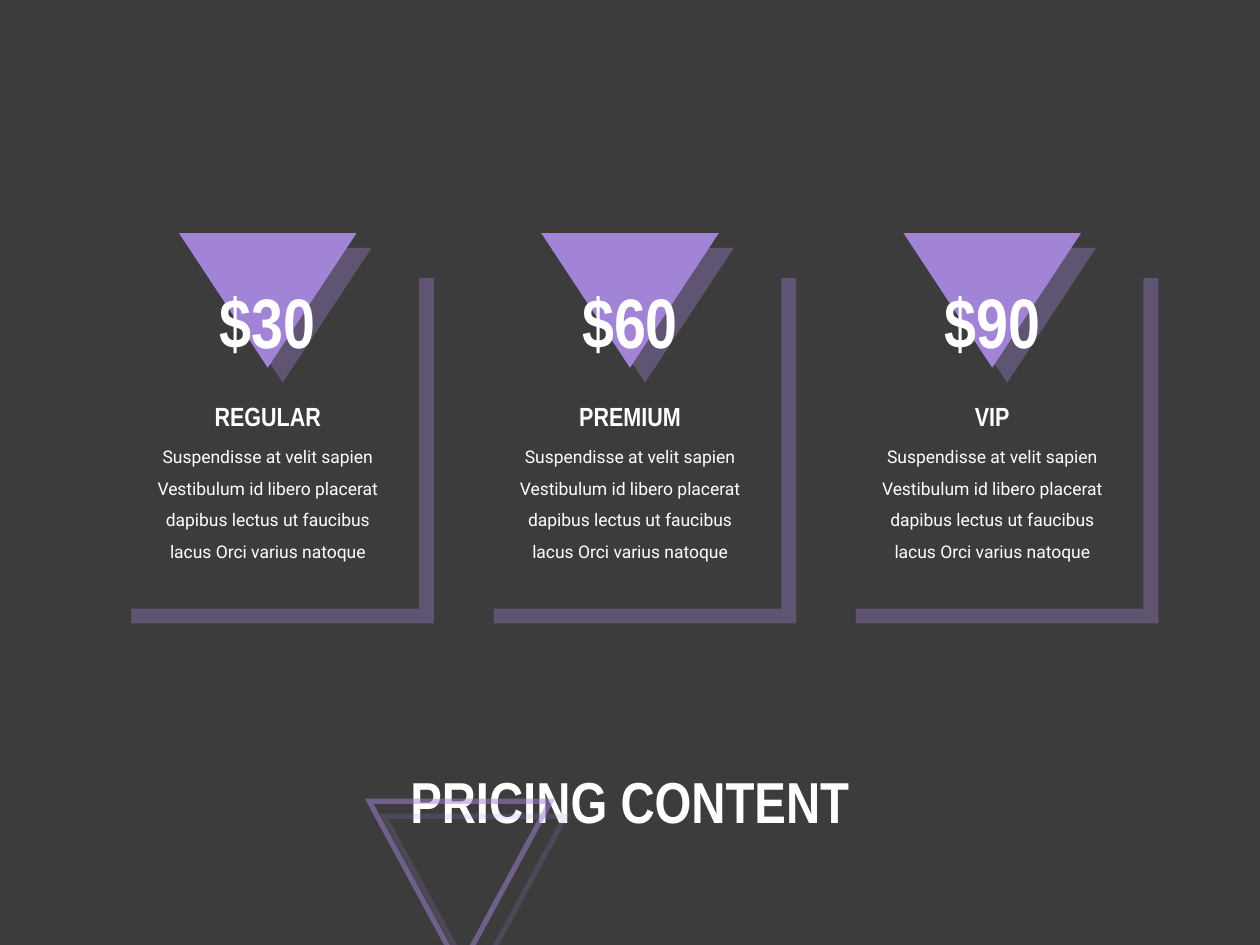
from dataclasses import dataclass

from lxml import etree
from pptx import Presentation
from pptx.dml.color import RGBColor
from pptx.enum import shapes, text
from pptx.oxml import ns
from pptx.util import Pt


@dataclass(frozen=True)
class Theme:
    background: RGBColor = RGBColor(0x3C, 0x3C, 0x3C)
    accent: RGBColor = RGBColor(0xA2, 0x84, 0xD7)
    white: RGBColor = RGBColor(0xFF, 0xFF, 0xFF)
    heading_font: str = "Arial Narrow"
    body_font: str = "Roboto"
    title_size: float = 33
    price_size: float = 40
    name_size: float = 15
    body_size: float = 10


@dataclass(frozen=True)
class Box:
    left: float
    top: float
    width: float
    height: float

    def lengths(self) -> tuple:
        return Pt(self.left), Pt(self.top), Pt(self.width), Pt(self.height)


@dataclass(frozen=True)
class Plan:
    price: str
    name: str


THEME = Theme()
SLIDE_WIDTH, SLIDE_HEIGHT = 720, 540
CARD_PITCH = 207
PLANS = [Plan("$30", "REGULAR"), Plan("$60", "PREMIUM"), Plan("$90", "VIP")]
DESCRIPTION = ("Suspendisse at velit sapien Vestibulum id libero placerat "
               "dapibus lectus ut faucibus lacus Orci varius natoque")


def centred(center: float, top: float, width: float, height: float) -> Box:
    return Box(center - width / 2, top, width, height)


def add_element(parent, tag: str, **attributes: str):
    element = etree.SubElement(parent, ns.qn(tag))
    for key, value in attributes.items():
        element.set(key, value)
    return element


def set_alpha(color_element, percent: int) -> None:
    add_element(color_element, "a:alpha", val=str(percent * 1000))


def add_offset_shadow(shape) -> None:
    """Give the shape a hard, translucent accent shadow to the lower right."""
    shape.shadow.inherit = False
    effects = shape.element.spPr.find(ns.qn("a:effectLst"))
    shadow = add_element(effects, "a:outerShdw", blurRad="0", dist=str(Pt(12.1)),
                         dir="2700000", algn="tl", rotWithShape="0")
    set_alpha(add_element(shadow, "a:srgbClr", val=str(THEME.accent)), 35)


def add_solid(slide, kind, box: Box, color: RGBColor):
    shape = slide.shapes.add_shape(kind, *box.lengths())
    shape.fill.solid()
    shape.fill.fore_color.rgb = color
    shape.line.fill.background()
    add_offset_shadow(shape)
    return shape


def flip_vertically(shape) -> None:
    shape.element.spPr.get_or_add_xfrm().set("flipV", "1")


def add_text(slide, box: Box, content: str, size: float, font: str = THEME.heading_font,
             bold: bool = True, spacing: float = 1.0, middle: bool = False) -> None:
    frame = slide.shapes.add_textbox(*box.lengths()).text_frame
    frame_format = {
        "word_wrap": True,
        "auto_size": text.MSO_AUTO_SIZE.NONE if middle
        else text.MSO_AUTO_SIZE.SHAPE_TO_FIT_TEXT,
        "vertical_anchor": text.MSO_ANCHOR.MIDDLE if middle else text.MSO_ANCHOR.TOP,
    }
    for key, value in frame_format.items():
        setattr(frame, key, value)
    paragraph = frame.paragraphs[0]
    paragraph.alignment = text.PP_ALIGN.CENTER
    paragraph.line_spacing = spacing
    run = paragraph.add_run()
    run.text = content
    for key, value in {"size": Pt(size), "name": font, "bold": bold}.items():
        setattr(run.font, key, value)
    run.font.color.rgb = THEME.white


def add_backdrop(slide) -> None:
    """Draw the translucent banner that points down from the top edge."""
    builder = slide.shapes.build_freeform(0, 0, scale=Pt(1))
    builder.add_line_segments([(720, 0), (720, 69), (360, 327.6), (0, 69)], close=True)
    banner = builder.convert_to_shape()
    banner.fill.solid()
    banner.fill.fore_color.rgb = THEME.background
    set_alpha(banner.element.spPr.find(f".//{ns.qn('a:srgbClr')}"), 80)
    banner.line.fill.background()
    banner.shadow.inherit = False


def add_title_triangle(slide) -> None:
    triangle = slide.shapes.add_shape(shapes.MSO_SHAPE.ISOSCELES_TRIANGLE,
                                      *Box(211, 457.9, 103.7, 95.8).lengths())
    flip_vertically(triangle)
    triangle.fill.background()
    triangle.line.width = Pt(3)
    triangle.line.color.rgb = THEME.accent
    line = triangle.element.spPr.find(ns.qn("a:ln"))
    set_alpha(line.find(f".//{ns.qn('a:srgbClr')}"), 50)
    add_element(line, "a:miter", lim="800000")
    add_offset_shadow(triangle)


def add_card(slide, center: float, plan: Plan) -> None:
    add_solid(slide, shapes.MSO_SHAPE.RECTANGLE,
              centred(center, 150.5, 172.8, 197.3), THEME.background)
    flip_vertically(add_solid(slide, shapes.MSO_SHAPE.ISOSCELES_TRIANGLE,
                              centred(center, 133.2, 101.5, 77), THEME.accent))
    add_text(slide, centred(center, 155.5, 90, 55.4), plan.price, THEME.price_size)
    add_text(slide, centred(center, 225.4, 101.5, 25.2), plan.name, THEME.name_size)
    add_text(slide, centred(center, 245.5, 152, 79.2), DESCRIPTION, THEME.body_size,
             font=THEME.body_font, bold=False, spacing=1.5)


def main() -> None:
    presentation = Presentation()
    presentation.slide_width = Pt(SLIDE_WIDTH)
    presentation.slide_height = Pt(SLIDE_HEIGHT)
    slide = presentation.slides.add_slide(presentation.slide_layouts[6])
    slide.background.fill.solid()
    slide.background.fill.fore_color.rgb = THEME.background

    add_text(slide, centred(SLIDE_WIDTH / 2, 424.8, 367.2, 70.6), "PRICING CONTENT",
             THEME.title_size, spacing=0.9, middle=True)
    add_backdrop(slide)
    add_title_triangle(slide)
    first_center = SLIDE_WIDTH / 2 - CARD_PITCH * (len(PLANS) - 1) / 2
    for index, plan in enumerate(PLANS):
        add_card(slide, first_center + index * CARD_PITCH, plan)
    presentation.save("out.pptx")


if __name__ == "__main__":
    main()
